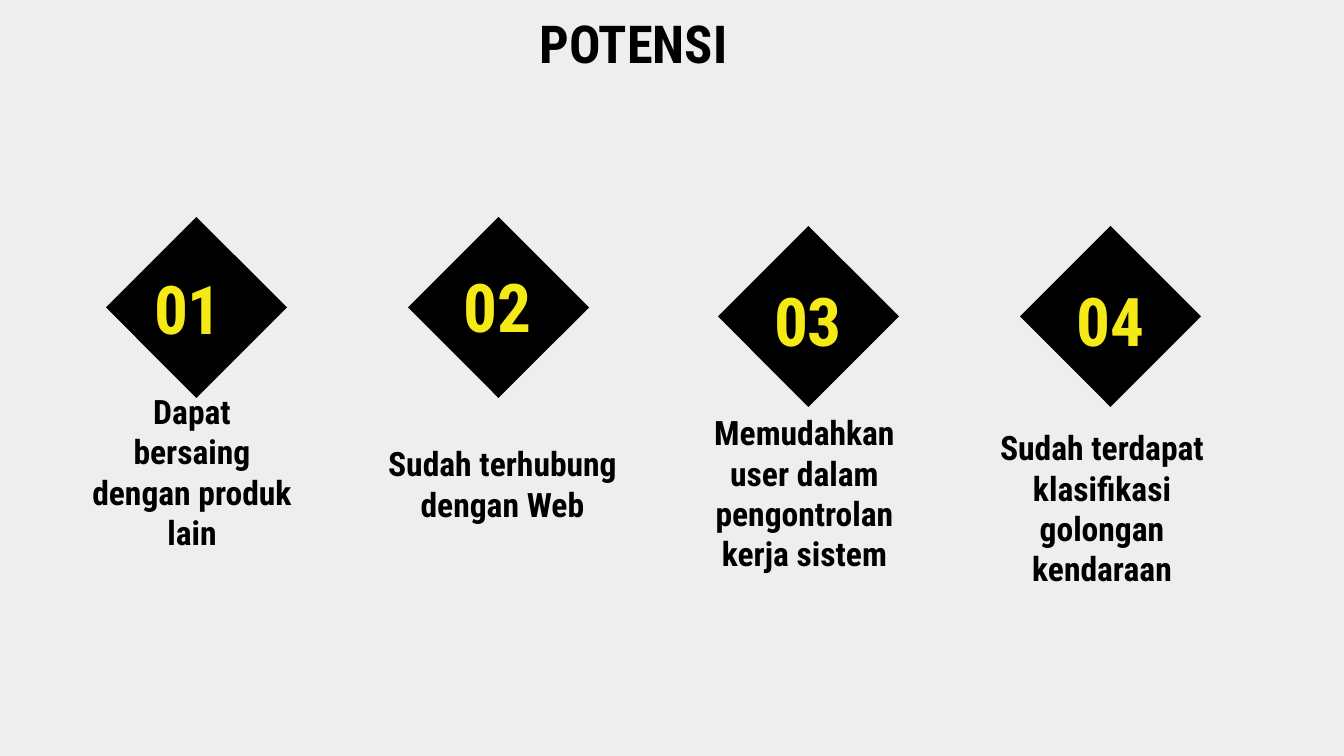
from dataclasses import dataclass

from pptx import Presentation
from pptx.dml.color import RGBColor
from pptx.enum.shapes import MSO_SHAPE
from pptx.enum.text import MSO_ANCHOR, MSO_AUTO_SIZE, PP_ALIGN
from pptx.util import Inches, Pt

EMU_PER_PX = 914400 / 134.4


@dataclass(frozen=True)
class Theme:
    font: str = "Roboto Condensed"
    background: RGBColor = RGBColor(0xEF, 0xEE, 0xEF)
    ink: RGBColor = RGBColor(0, 0, 0)
    accent: RGBColor = RGBColor(0xF5, 0xEA, 0x15)
    title_size: int = 28
    number_size: int = 36
    caption_size: int = 18


def px(*lengths):
    return [round(length * EMU_PER_PX) for length in lengths]


def write(shape, text, size, color):
    """Set bold text centred both ways in the shape."""
    frame = shape.text_frame
    frame.text = text
    frame.word_wrap = True
    frame.auto_size = MSO_AUTO_SIZE.NONE
    frame.vertical_anchor = MSO_ANCHOR.MIDDLE
    frame.margin_left = frame.margin_right = Inches(0.1)
    frame.margin_top = frame.margin_bottom = Inches(0.1)
    paragraph = frame.paragraphs[0]
    paragraph.alignment = PP_ALIGN.CENTER
    font = paragraph.runs[0].font
    font.name, font.size, font.bold = theme.font, Pt(size), True
    font.color.rgb = color


theme = Theme()
presentation = Presentation()
presentation.slide_width, presentation.slide_height = px(1344, 756)
slide = presentation.slides.add_slide(presentation.slide_layouts[5])
slide.background.fill.solid()
slide.background.fill.fore_color.rgb = theme.background

title = slide.shapes.title
title.left, title.top, title.width, title.height = px(67, 0, 1133, 85)
write(title, "POTENSI", theme.title_size, theme.ink)

DIAMOND = 181
NUMBER_WIDTH, NUMBER_HEIGHT = 150, 85

# number, diamond left/top, number left/top, caption left/top/width/height, caption
potentials = [
    ("01", (106, 217), (113, 265), (78, 446, 228, 51),
     "Dapat bersaing dengan produk lain"),
    ("02", (408, 217), (423, 263), (370, 458, 265, 51),
     "Sudah terhubung dengan Web"),
    ("03", (718, 226), (733, 277), (672, 473, 265, 40),
     "Memudahkan user dalam pengontrolan kerja sistem"),
    ("04", (1020, 226), (1036, 277), (967, 488, 270, 40),
     "Sudah terdapat klasifikasi golongan kendaraan"),
]

for number, diamond_at, number_at, caption_box, caption in potentials:
    diamond = slide.shapes.add_shape(
        MSO_SHAPE.DIAMOND, *px(*diamond_at, DIAMOND, DIAMOND))
    diamond.shadow.inherit = False
    diamond.fill.solid()
    diamond.fill.fore_color.rgb = theme.ink
    diamond.line.fill.background()

    number_label = slide.shapes.add_textbox(
        *px(*number_at, NUMBER_WIDTH, NUMBER_HEIGHT))
    write(number_label, number, theme.number_size, theme.accent)

    caption_label = slide.shapes.add_textbox(*px(*caption_box))
    write(caption_label, caption, theme.caption_size, theme.ink)

presentation.save("out.pptx")
